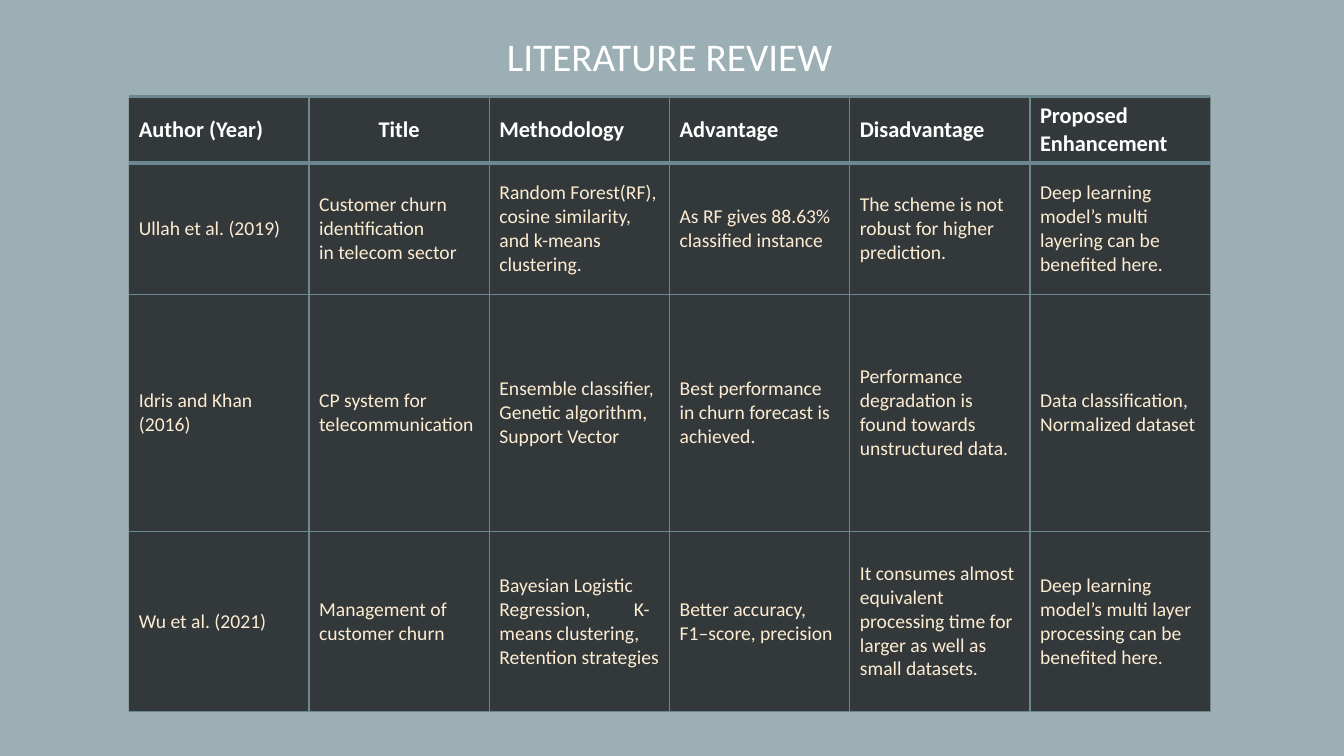
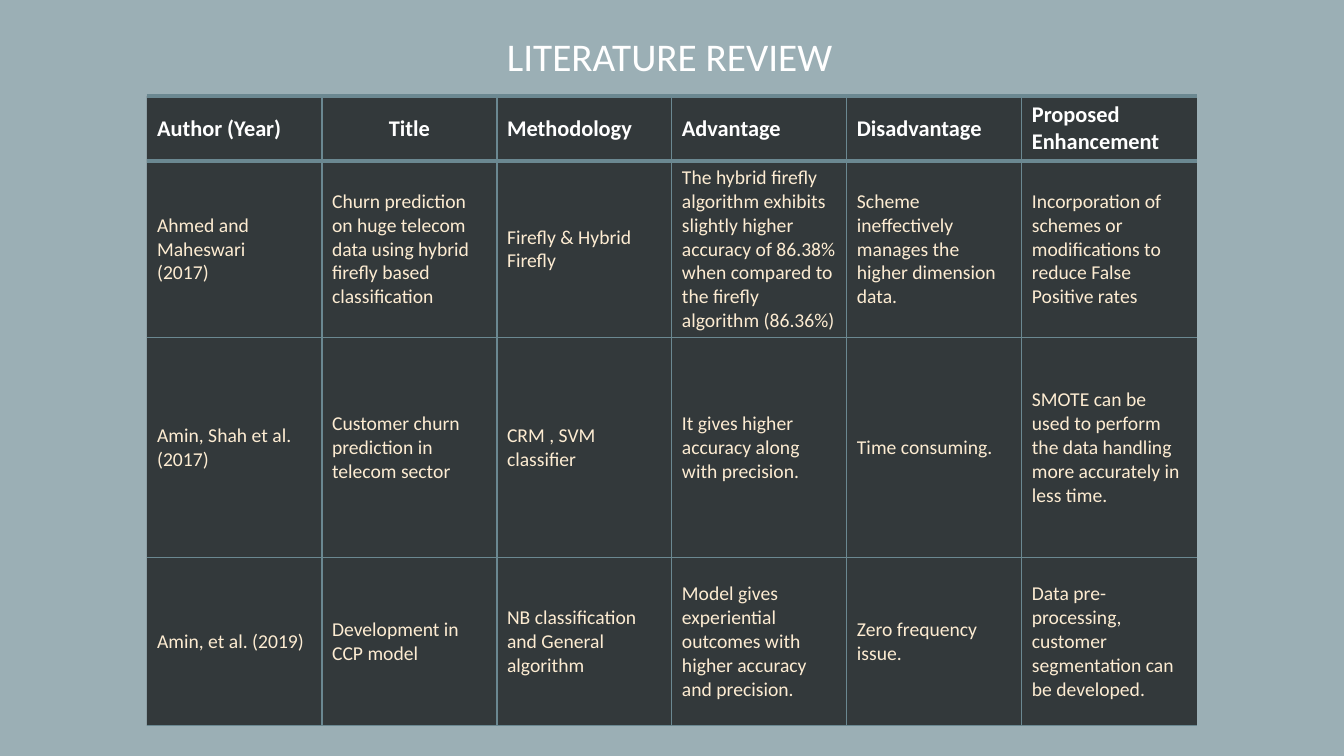
import lxml.etree
import pptx
import pptx.dml.color
import pptx.enum.text
import pptx.oxml.ns
import pptx.util

Pt = pptx.util.Pt
qn = pptx.oxml.ns.qn
Align = pptx.enum.text.PP_ALIGN
Anchor = pptx.enum.text.MSO_ANCHOR

FONT = "Calibri"
BACKGROUND, WHITE, CREAM = "9BAFB5", "FFFFFF", "FDECD2"
CELL_FILL, CELL_OPACITY = "000000", 67
RULE, THIN, THICK = "6B8891", 1, 3
TITLE_TEXT = {"size": Pt(28), "bold": False, "color": WHITE}
HEADER_TEXT = {"size": Pt(16), "bold": True, "color": WHITE}
BODY_TEXT = {"size": Pt(14), "bold": False, "color": CREAM}

TITLE = "LITERATURE REVIEW"
TITLE_BOX = {"left": 337.5, "top": 19.5, "width": 281.5, "height": 41}
HEADINGS = ["Author (Year)", "Title", "Methodology", "Advantage",
            "Disadvantage", "Proposed Enhancement"]
TAB_STOP = 96

REVIEWS = [
    {
        "left": 92, "top": 69, "column_width": 128.75,
        "row_heights": [47.5, 94, 169, 129],
        "studies": [
            ["Ullah et al. (2019)",
             "Customer churn identification\vin telecom sector",
             "Random Forest(RF), cosine similarity, and k-means clustering.",
             "As RF gives 88.63% classified instance",
             "The scheme is not robust for higher prediction.",
             "Deep learning model’s multi layering can be benefited here."],
            ["Idris and Khan (2016)",
             "CP system for telecommunication",
             "Ensemble classifier, Genetic algorithm, Support Vector",
             "Best performance in churn forecast is achieved.",
             "Performance degradation is found towards unstructured data.",
             "Data classification, Normalized dataset"],
            ["Wu et al. (2021)",
             "Management of customer churn",
             "Bayesian Logistic Regression,\tK-means clustering, Retention strategies",
             "Better accuracy,\vF1–score, precision",
             "It consumes almost equivalent processing time for larger "
             "as well as small datasets.",
             "Deep learning model’s multi layer processing can be benefited here."],
        ],
    },
    {
        "left": 105, "top": 68.5, "column_width": 125,
        "row_heights": [46, 126, 157, 120],
        "studies": [
            ["Ahmed and\nMaheswari\n(2017)",
             "Churn prediction on huge telecom data using hybrid firefly based\n"
             "classification",
             "Firefly & Hybrid Firefly",
             "The hybrid firefly algorithm exhibits slightly higher accuracy of 86.38% "
             "when compared to the firefly algorithm (86.36%)",
             "Scheme ineffectively manages the higher dimension data.",
             "Incorporation of schemes or modifications to\n"
             "reduce False Positive rates"],
            ["Amin, Shah et al. (2017)",
             "Customer churn prediction in telecom sector",
             "CRM , SVM classifier",
             "It gives higher accuracy along with precision.",
             "Time consuming.",
             "SMOTE can be used to perform the data handling more accurately "
             "in less time."],
            ["Amin, et al. (2019)",
             "Development in CCP model",
             "NB classification and General algorithm",
             "Model gives experiential outcomes with higher accuracy and precision.",
             "Zero frequency issue.",
             "Data pre-processing, customer segmentation can be developed."],
        ],
    },
]


def rgb(value):
    return pptx.dml.color.RGBColor.from_string(value)


def format_text(frame, style, align):
    for paragraph in frame.paragraphs:
        paragraph.alignment = align
        for run in paragraph.runs:
            run.font.name = FONT
            run.font.color.rgb = rgb(style["color"])
            for attribute in ("size", "bold"):
                setattr(run.font, attribute, style[attribute])


def add_tab_stop(paragraph):
    stops = lxml.etree.SubElement(paragraph._p.get_or_add_pPr(), qn("a:tabLst"))
    lxml.etree.SubElement(stops, qn("a:tab"), pos=str(Pt(TAB_STOP)), algn="l")


def set_borders(cell, widths):
    """Rule the cell's left, right, top and bottom; a width of 0 leaves a side open."""
    properties = cell._tc.get_or_add_tcPr()
    for position, (side, width) in enumerate(zip("LRTB", widths)):
        line = lxml.etree.Element(qn(f"a:ln{side}"), w=str(Pt(width)))
        if width:
            fill = lxml.etree.SubElement(line, qn("a:solidFill"))
            lxml.etree.SubElement(fill, qn("a:srgbClr"), val=RULE)
        else:
            lxml.etree.SubElement(line, qn("a:noFill"))
        properties.insert(position, line)


def fill_cell(cell):
    cell.fill.solid()
    cell.fill.fore_color.rgb = rgb(CELL_FILL)
    color = cell._tc.tcPr.find(".//" + qn("a:srgbClr"))
    lxml.etree.SubElement(color, qn("a:alpha"), val=str(CELL_OPACITY * 1000))


def add_title(slide):
    title = slide.shapes.title
    for attribute, length in TITLE_BOX.items():
        setattr(title, attribute, Pt(length))
    frame = title.text_frame
    frame.text = TITLE
    frame.word_wrap = True
    frame.auto_size = pptx.enum.text.MSO_AUTO_SIZE.NONE
    frame.vertical_anchor = Anchor.TOP
    format_text(frame, TITLE_TEXT, Align.CENTER)


def add_review_table(slide, left, top, column_width, row_heights, studies):
    rows = [HEADINGS, *studies]
    last_column = len(HEADINGS) - 1
    table = slide.shapes.add_table(
        len(rows), len(HEADINGS), Pt(left), Pt(top),
        Pt(column_width * len(HEADINGS)), Pt(sum(row_heights))).table
    table.horz_banding = False
    for column in table.columns:
        column.width = Pt(column_width)
    for r, (texts, height) in enumerate(zip(rows, row_heights)):
        table.rows[r].height = Pt(height)
        for c, text in enumerate(texts):
            cell = table.cell(r, c)
            cell.text = text
            cell.vertical_anchor = Anchor.MIDDLE
            centred = r == 0 and HEADINGS[c] == "Title"
            format_text(cell.text_frame, BODY_TEXT if r else HEADER_TEXT,
                        Align.CENTER if centred else Align.LEFT)
            if "\t" in text:
                add_tab_stop(cell.text_frame.paragraphs[0])
            fill_cell(cell)
            set_borders(cell, (THIN if c > 0 else 0,
                               THIN if c < last_column else 0,
                               THICK if r < 2 else THIN,
                               THICK if r == 0 else THIN))


def main():
    deck = pptx.Presentation()
    deck.slide_width, deck.slide_height = Pt(960), Pt(540)
    title_only = deck.slide_layouts[5]
    backdrop = deck.slide_master.background.fill
    backdrop.solid()
    backdrop.fore_color.rgb = rgb(BACKGROUND)
    for review in REVIEWS:
        slide = deck.slides.add_slide(title_only)
        add_review_table(slide, **review)
        add_title(slide)
    deck.save("out.pptx")


if __name__ == "__main__":
    main()
